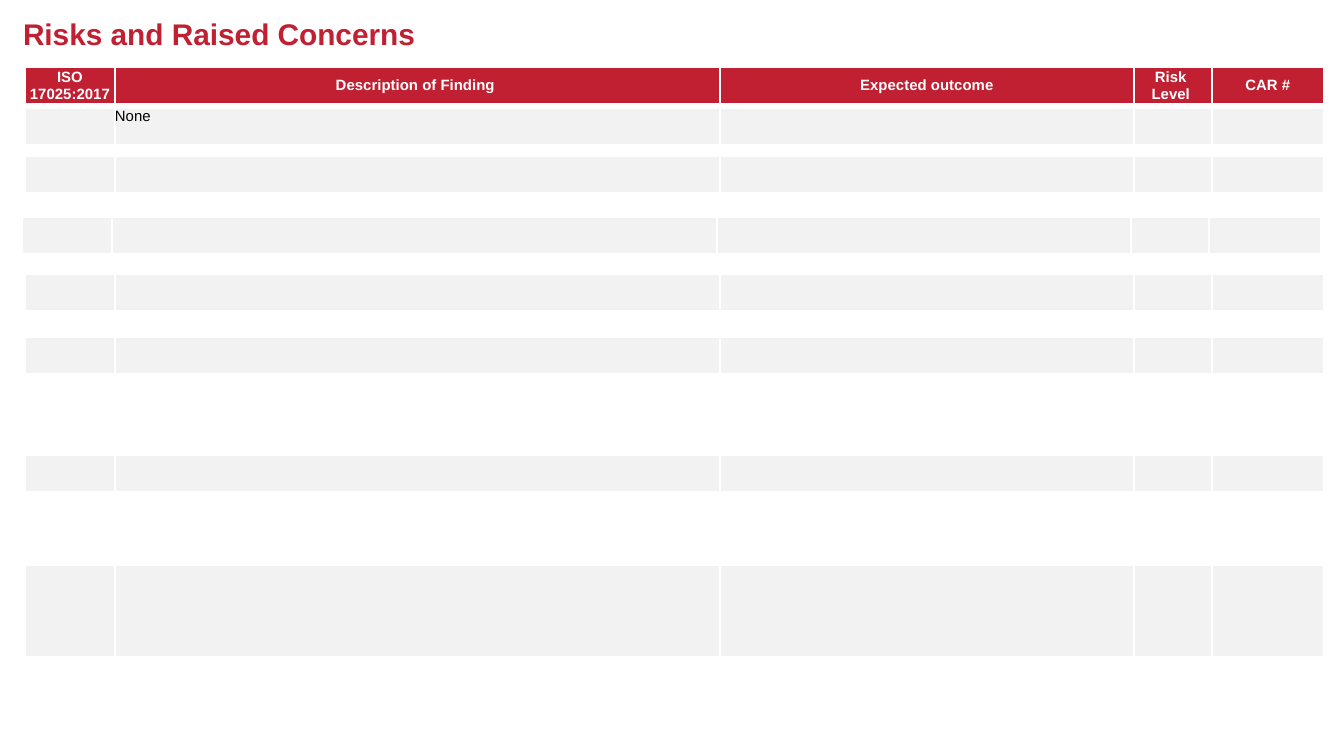
from lxml import etree
from pptx import Presentation
from pptx import util as u
from pptx.dml import color
from pptx.enum import text
from pptx.oxml import ns

SCALE = 914400 / 134.4


def px(length):
    return u.Emu(round(length * SCALE))


def paint(fill, hex_value):
    fill.solid()
    fill.fore_color.rgb = color.RGBColor.from_string(hex_value)


RED, GREY, WHITE, BLACK = "C02032", "F2F2F2", "FFFFFF", "000000"
WIDTHS = [90, 605, 414, 78, 112]
HEADINGS = ["ISO 17025:2017", "Description of Finding ", "Expected outcome", "Risk \nLevel ", "CAR #"]
FINDING = ["", "None", "", "", ""]
EMPTY = [""] * len(WIDTHS)
TABLES = [
    (25, 67, 37, HEADINGS),
    (25, 108, 37, FINDING),
    (25, 156, 37, EMPTY),
    (22, 217, 37, EMPTY),
    (25, 274, 37, EMPTY),
    (25, 337, 37, EMPTY),
    (25, 455, 37, EMPTY),
    (25, 565, 92, EMPTY),
]

deck = Presentation()
deck.slide_width, deck.slide_height = px(1344), px(756)
page = deck.slides.add_slide(deck.slide_layouts[5])

title = page.shapes.title
title.left, title.top, title.width, title.height = px(23), px(16), px(1255), px(36)
frame = title.text_frame
frame.text = "Risks and Raised Concerns"
frame.margin_left = frame.margin_top = frame.margin_right = frame.margin_bottom = 0
frame.auto_size = text.MSO_AUTO_SIZE.SHAPE_TO_FIT_TEXT
para = frame.paragraphs[0]
para.alignment = text.PP_ALIGN.LEFT
para.font.name, para.font.size, para.font.bold = "Arial", u.Pt(16), True
paint(para.font.fill, RED)

for left, top, height, words in TABLES:
    is_header = words is HEADINGS
    table = page.shapes.add_table(1, len(WIDTHS), px(left), px(top), px(sum(WIDTHS)), px(height)).table
    table.first_row = table.horz_banding = False
    for column, width in zip(table.columns, WIDTHS):
        column.width = px(width)
    for cell, word in zip(table.rows[0].cells, words):
        cell.text = word
        cell.margin_left = cell.margin_top = cell.margin_right = cell.margin_bottom = 0
        if is_header:
            cell.vertical_anchor = text.MSO_ANCHOR.MIDDLE
        for para in cell.text_frame.paragraphs:
            para.alignment = text.PP_ALIGN.CENTER if is_header else text.PP_ALIGN.LEFT
            para.font.name, para.font.size, para.font.bold = "Arial", u.Pt(8), is_header
            paint(para.font.fill, WHITE if is_header else BLACK)
            etree.SubElement(para._p, ns.qn("a:endParaRPr"), sz="800")
        properties = cell._tc.get_or_add_tcPr()
        for side in ("a:lnL", "a:lnR"):
            border = etree.SubElement(properties, ns.qn(side), w=str(u.Pt(1)))
            line_fill = etree.SubElement(border, ns.qn("a:solidFill"))
            etree.SubElement(line_fill, ns.qn("a:srgbClr"), val=WHITE)
        paint(cell.fill, RED if is_header else GREY)

deck.save("out.pptx")
